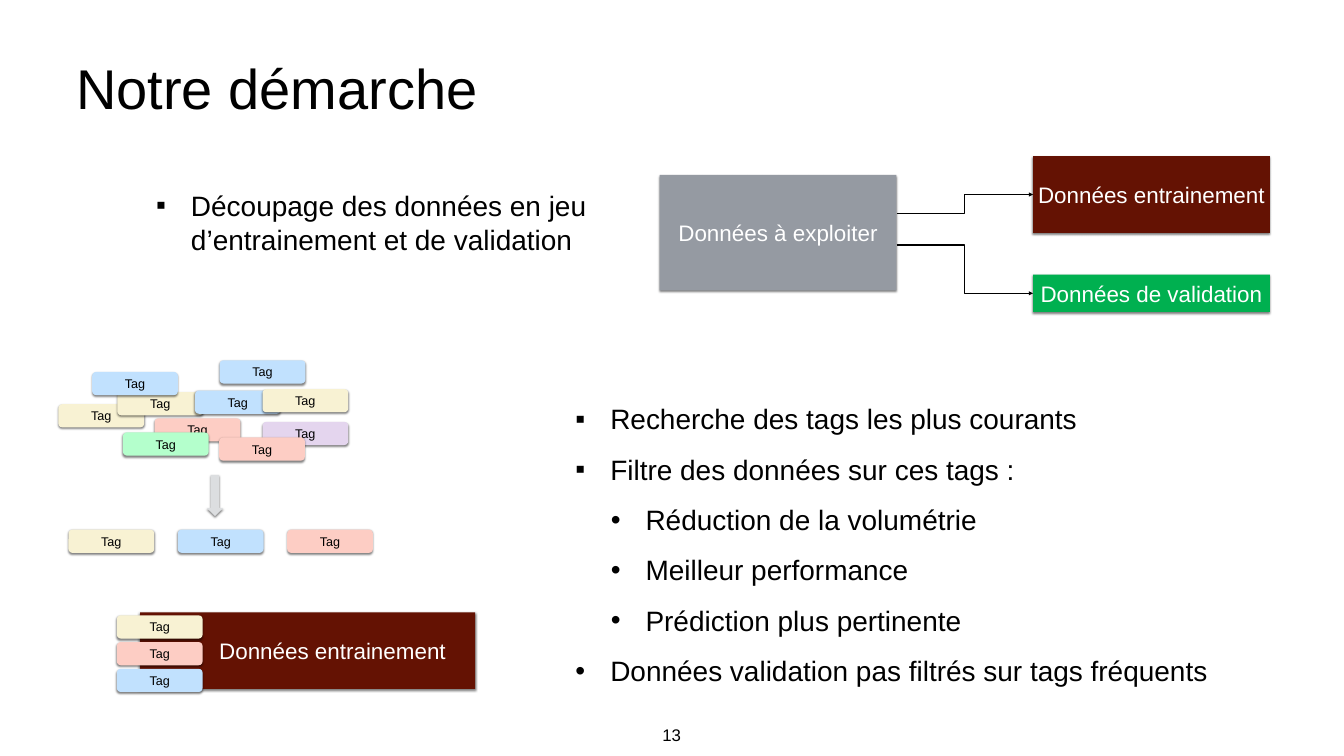
from lxml import etree
from pptx import Presentation
from pptx.dml.color import RGBColor
from pptx.enum import shapes, text
from pptx.oxml import ns
from pptx.util import Inches, Pt

BLACK, WHITE = "000000", "FFFFFF"
GREY, BROWN, GREEN = "959AA2", "641203", "00B050"
CREAM, BLUE, PINK = "F8F2D3", "C1E1FE", "FDCDC4"
MINT, LILAC, SILVER = "B4FFCC", "E4D5EE", "DCDEE0"
SQUARE, DOT = "▪", "•"
SHAPE = shapes.MSO_SHAPE
TAG_WIDTH, TAG_HEIGHT = 1.7, 0.46


def colour(value):
    return RGBColor.from_string(value)


def add_element(parent, name, **attributes):
    element = etree.SubElement(parent, ns.qn(name))
    for key, value in attributes.items():
        element.set(key, str(value))
    return element


def write(frame, content, size=40, color=BLACK, align=text.PP_ALIGN.LEFT,
          anchor=text.MSO_ANCHOR.MIDDLE, wrap=True, left_inset=0.06):
    """Fill a frame; content is a string or a list of (text, level, bullet)."""
    frame.word_wrap = wrap
    frame.vertical_anchor = anchor
    frame.margin_left = Inches(left_inset)
    frame.margin_right = frame.margin_top = frame.margin_bottom = Inches(0.06)
    items = [(content, 0, None)] if isinstance(content, str) else content
    for index, (words, level, bullet) in enumerate(items):
        paragraph = frame.paragraphs[0] if index == 0 else frame.add_paragraph()
        paragraph.alignment = align
        if bullet:
            paragraph.level = level
            paragraph.space_before = Pt(12 if index else 0)
            paragraph.space_after = Pt(12)
            properties = paragraph._p.get_or_add_pPr()
            properties.set("marL", str(Inches(0.69 + 0.7 * level)))
            properties.set("indent", str(-Inches(0.69)))
            add_element(properties, "a:buFont", typeface="Arial")
            add_element(properties, "a:buChar", char=bullet)
        run = paragraph.add_run()
        run.text = words
        run.font.name = "Arial"
        run.font.size = Pt(size)
        run.font.color.rgb = colour(color)


def add_text(slide, box, content, **style):
    shape = slide.shapes.add_textbox(*map(Inches, box))
    write(shape.text_frame, content, **style)


def add_block(slide, kind, box, fill, label=None, **style):
    """Preset shape with a soft shadow below it and a centred label."""
    shape = slide.shapes.add_shape(kind, *map(Inches, box))
    shape.fill.solid()
    shape.fill.fore_color.rgb = colour(fill)
    shape.line.fill.background()
    shape.shadow.inherit = False
    effects = shape._element.spPr.find(ns.qn("a:effectLst"))
    shadow = add_element(effects, "a:outerShdw", blurRad=Pt(3), dist=Pt(2),
                         dir=90 * 60000, rotWithShape=0)
    tint = add_element(shadow, "a:srgbClr", val=BLACK)
    add_element(tint, "a:alpha", val=50000)
    if label:
        write(shape.text_frame, label, align=text.PP_ALIGN.CENTER, **style)


def add_data(slide, box, fill, label, **style):
    add_block(slide, SHAPE.RECTANGLE, box, fill, label, size=32, color=WHITE, **style)


def add_tags(slide, left, top, tags):
    for x, y, fill in tags:
        add_block(slide, SHAPE.ROUNDED_RECTANGLE,
                  (left + x, top + y, TAG_WIDTH, TAG_HEIGHT), fill, "Tag", size=18)


def add_arrow(slide, start, end):
    connector = slide.shapes.add_connector(
        shapes.MSO_CONNECTOR.ELBOW, *map(Inches, start + end))
    connector.line.color.rgb = colour(BLACK)
    connector.line.width = Pt(2)
    add_element(connector.line._get_or_add_ln(), "a:tailEnd", type="triangle")
    add_element(connector._element.spPr, "a:effectLst")


def add_split(slide, left, top):
    """Source data split into training and validation sets."""
    width, target = 4.7, left + 7.41
    add_data(slide, (left, top + 0.37, width, 2.29), GREY, "Données à exploiter")
    add_data(slide, (target, top, width, 1.52), BROWN, "Données entrainement")
    add_data(slide, (target, top + 2.35, width, 0.74), GREEN, "Données de validation")
    for start, end in ((1.76, 2.72), (1.14, 0.76)):
        add_arrow(slide, (left + width, top + start), (target, top + end))


def add_filter(slide, left, top):
    """Cloud of tags reduced to the three most frequent ones."""
    add_tags(slide, left, top, [
        (0, 0.87, CREAM), (1.17, 0.63, CREAM), (1.91, 1.15, PINK),
        (1.28, 1.43, MINT), (2.71, 0.6, BLUE), (4.05, 1.22, LILAC),
        (4.05, 0.57, CREAM), (3.2, 0, BLUE), (0.67, 0.23, BLUE),
        (3.19, 1.53, PINK)])
    add_tags(slide, left + 0.2, top + 3.36,
             [(2.17 * i, 0, fill) for i, fill in enumerate((CREAM, BLUE, PINK))])
    add_block(slide, SHAPE.DOWN_ARROW, (left + 2.94, top + 2.27, 0.33, 0.82), SILVER)


def add_training_set(slide, left, top):
    """Training data carrying the three kept tags."""
    add_data(slide, (left + 0.46, top, 6.65, 1.52), BROWN,
             "Données entrainement", left_inset=1.05)
    add_tags(slide, left, top + 0.06,
             [(0, 0.53 * i, fill) for i, fill in enumerate((CREAM, PINK, BLUE))])


def main():
    presentation = Presentation()
    presentation.slide_width = Inches(26.67)
    presentation.slide_height = Inches(15)
    slide = presentation.slides.add_slide(presentation.slide_layouts[6])

    # Title and page number
    add_text(slide, (1.45, 0.83, 23.37, 1.81), "Notre démarche", size=80)
    add_text(slide, (13.08, 14.31, 0.5, 0.51), "13", size=24, wrap=False,
             align=text.PP_ALIGN.CENTER, anchor=text.MSO_ANCHOR.TOP)

    # Bulleted explanations
    add_text(slide, (3.04, 2.71, 12.15, 3.39), [
        ("Découpage des données en jeu d’entrainement et de validation", 0, SQUARE)])
    add_text(slide, (11.36, 7.4, 15.31, 6.81), [
        ("Recherche des tags les plus courants", 0, SQUARE),
        ("Filtre des données sur ces tags :", 0, SQUARE),
        ("Réduction de la volumétrie", 1, DOT),
        ("Meilleur performance", 1, DOT),
        ("Prédiction plus pertinente", 1, DOT),
        ("Données validation pas filtrés sur tags fréquents", 0, DOT)])

    # Diagrams
    add_split(slide, 13.09, 3.1)
    add_filter(slide, 1.16, 7.15)
    add_training_set(slide, 2.32, 12.15)

    presentation.save("out.pptx")


if __name__ == "__main__":
    main()
